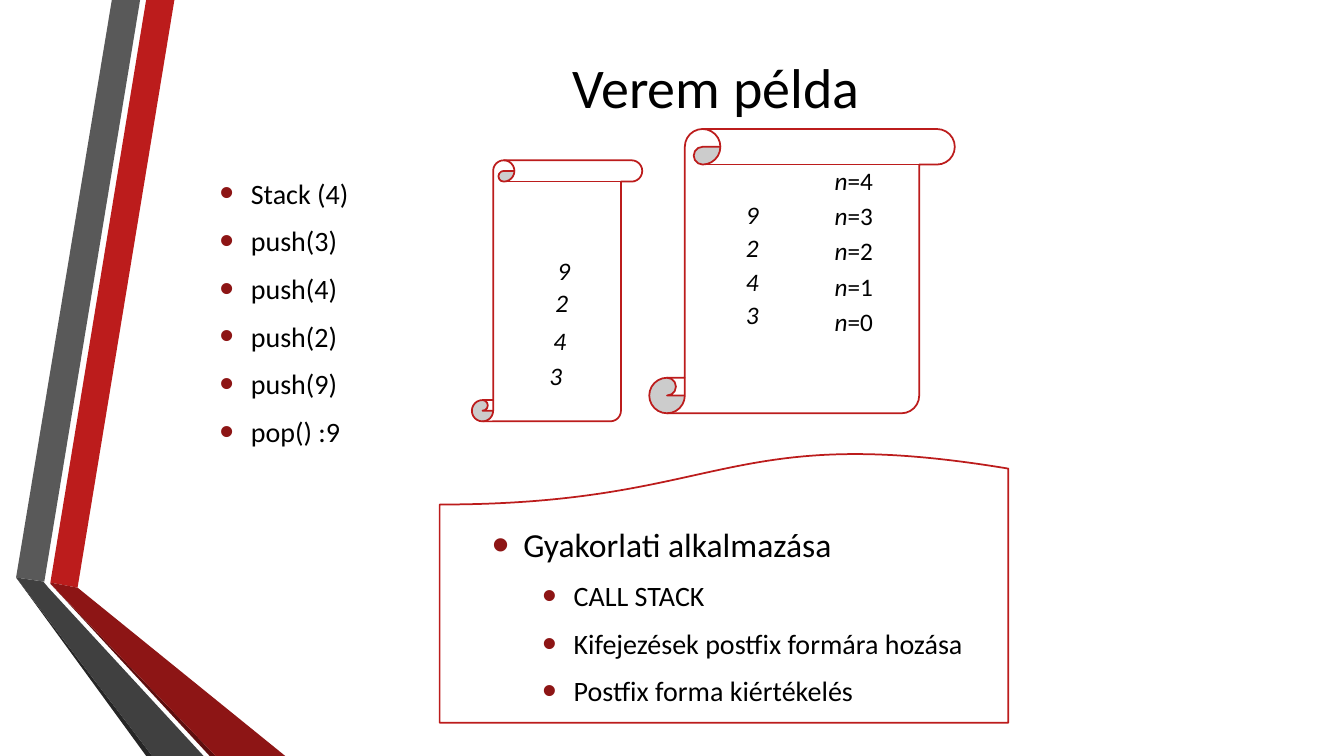
from dataclasses import dataclass

import lxml.etree
import pptx
import pptx.dml.color
import pptx.enum.shapes
import pptx.enum.text
import pptx.oxml.ns
import pptx.util

Inches = pptx.util.Inches
Pt = pptx.util.Pt
PRESET = pptx.enum.shapes.MSO_SHAPE
ALIGN = pptx.enum.text.PP_ALIGN
MIDDLE = pptx.enum.text.MSO_ANCHOR.MIDDLE
NO_FIT = pptx.enum.text.MSO_AUTO_SIZE.NONE

RED, DARK_RED = "BC1C1C", "8D1515"
WHITE, BLACK = "FFFFFF", "000000"


@dataclass
class Ribbon:
    color: str
    points: list[tuple[float, float]]


@dataclass
class Panel:
    preset: pptx.enum.shapes.MSO_SHAPE
    box: tuple[float, float, float, float]
    rotation: float = 0


@dataclass
class Item:
    text: str
    size: int = 20
    level: int = 0


@dataclass
class Label:
    left: float
    top: float
    symbol: str
    value: str = ""


RIBBONS = [
    Ribbon(RED, [(0.5, 5.78), (0.77, 5.83), (1.73, 0), (1.45, 0)]),
    Ribbon("595959", [(1.39, 0), (1.11, 0), (0.16, 5.73), (0.44, 5.77)]),
    Ribbon("262626", [(0.16, 5.73), (1.45, 7.5), (1.51, 7.5)]),
    Ribbon("5E0E0E", [(0.5, 5.79), (2.08, 7.5), (2.14, 7.5)]),
    Ribbon(DARK_RED, [(0.5, 5.79), (2.14, 7.5), (2.83, 7.5), (0.77, 5.83), (0.5, 5.78)]),
    Ribbon("404040", [(2.02, 7.5), (0.48, 5.83), (0.43, 5.77), (0.16, 5.73), (1.51, 7.5)]),
]
PANELS = [
    Panel(PRESET.VERTICAL_SCROLL, (6.44, 1.28, 3.03, 2.82)),
    Panel(PRESET.VERTICAL_SCROLL, (4.68, 1.59, 1.69, 2.59)),
    Panel(PRESET.FLOWCHART_DOCUMENT, (4.36, 4.47, 5.64, 2.7), 180),
]
USES = [
    Item("Gyakorlati alkalmazása", size=24),
    Item("CALL STACK", level=1),
    Item("Kifejezések postfix formára hozása", level=1),
    Item("Postfix forma kiértékelés", level=1),
]
OPERATIONS = [
    Item(call)
    for call in ("Stack (4)", "push(3)", "push(4)", "push(2)", "push(9)", "pop() :9")
]
STACK = "9243"
HAND_DRAWN = [(5.43, 2.48), (5.41, 2.8), (5.39, 3.18), (5.35, 3.53)]
LABELS = (
    [Label(left, top, digit) for digit, (left, top) in zip(STACK, HAND_DRAWN)]
    + [Label(7.3, 1.93 + 0.33 * row, digit) for row, digit in enumerate(STACK)]
    + [Label(8.18, 1.59 + 0.35 * row, "n", f"={4 - row}") for row in range(5)]
)


def rgb(color: str) -> pptx.dml.color.RGBColor:
    return pptx.dml.color.RGBColor.from_string(color)


def paint(shape, fill: str, line: str | None = None) -> None:
    shape.shadow.inherit = False
    shape.fill.solid()
    shape.fill.fore_color.rgb = rgb(fill)
    if line is None:
        shape.line.fill.background()
    else:
        shape.line.color.rgb = rgb(line)
        shape.line.width = Pt(1.25)


def place(shape, box: tuple[float, float, float, float]) -> None:
    for side, value in zip(("left", "top", "width", "height"), box):
        setattr(shape, side, Inches(value))


def add_text(paragraph, text: str, size: int, italic: bool = False) -> None:
    run = paragraph.add_run()
    run.text = text
    for name, value in {"name": "Calibri", "size": Pt(size), "italic": italic}.items():
        setattr(run.font, name, value)
    run.font.color.rgb = rgb(BLACK)


def draw_ribbon(slide, ribbon: Ribbon) -> None:
    start, *rest = [(Inches(x), Inches(y)) for x, y in ribbon.points]
    outline = slide.shapes.build_freeform(*start)
    outline.add_line_segments(rest, close=True)
    paint(outline.convert_to_shape(), ribbon.color)


def draw_panel(slide, panel: Panel) -> None:
    shape = slide.shapes.add_shape(panel.preset, *map(Inches, panel.box))
    shape.rotation = panel.rotation
    paint(shape, WHITE, RED)


def add_bullet(paragraph, level: int) -> None:
    properties = paragraph._p.get_or_add_pPr()
    properties.set("marL", str(Inches(0.31 + 0.5 * level)))
    properties.set("indent", str(Inches(-0.31)))
    qn = pptx.oxml.ns.qn
    bullet_color = lxml.etree.SubElement(properties, qn("a:buClr"))
    lxml.etree.SubElement(bullet_color, qn("a:srgbClr"), val=DARK_RED)
    lxml.etree.SubElement(properties, qn("a:buSzPct"), val="145000")
    lxml.etree.SubElement(properties, qn("a:buFont"), typeface="Arial")
    lxml.etree.SubElement(properties, qn("a:buChar"), char="•")


def write_list(frame, items: list[Item]) -> None:
    for name, value in {
        "word_wrap": True, "auto_size": NO_FIT, "vertical_anchor": MIDDLE,
    }.items():
        setattr(frame, name, value)
    for index, item in enumerate(items):
        paragraph = frame.add_paragraph() if index else frame.paragraphs[0]
        add_bullet(paragraph, item.level)
        for name, value in {
            "level": item.level,
            "alignment": ALIGN.LEFT,
            "space_before": Pt(0.2 * item.size if index else 0),
            "space_after": Pt(6),
        }.items():
            setattr(paragraph, name, value)
        add_text(paragraph, item.text, item.size)


def draw_label(slide, label: Label) -> None:
    box = (label.left, label.top, 0.75, 0.4)
    frame = slide.shapes.add_textbox(*map(Inches, box)).text_frame
    frame.word_wrap = True
    add_text(frame.paragraphs[0], label.symbol, 18, italic=True)
    if label.value:
        add_text(frame.paragraphs[0], label.value, 18)


def main() -> None:
    deck = pptx.Presentation()
    deck.slide_width, deck.slide_height = Inches(13.33), Inches(7.5)
    slide = deck.slides.add_slide(deck.slide_layouts[1])
    title, uses = slide.placeholders

    for ribbon in RIBBONS:
        draw_ribbon(slide, ribbon)
    for panel in PANELS:
        draw_panel(slide, panel)

    # The placeholders must lie in front of the white panels.
    for placeholder in (title, uses):
        slide.shapes.element.append(placeholder.element)

    place(title, (1.62, 0.33, 10.96, 1.04))
    title.text_frame.vertical_anchor = MIDDLE
    title.text_frame.paragraphs[0].alignment = ALIGN.CENTER
    add_text(title.text_frame.paragraphs[0], "Verem példa", 40)

    place(uses, (4.78, 4.76, 6.44, 2.7))
    write_list(uses.text_frame, USES)

    operations = slide.shapes.add_textbox(*map(Inches, (2.08, 1.1, 10.96, 3.99)))
    write_list(operations.text_frame, OPERATIONS)

    for label in LABELS:
        draw_label(slide, label)
    deck.save("out.pptx")


if __name__ == "__main__":
    main()
